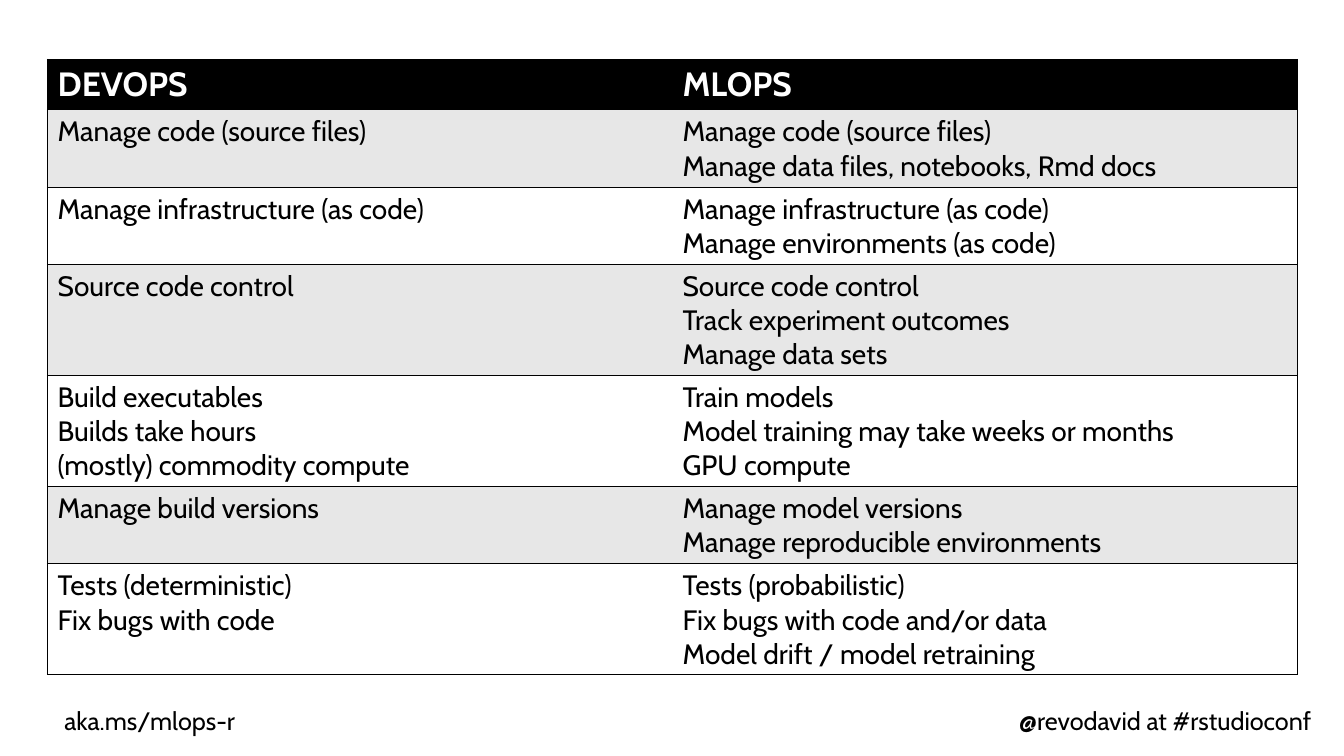
from lxml import etree
from pptx import Presentation
from pptx.dml.color import RGBColor
from pptx.enum.text import MSO_ANCHOR, PP_ALIGN
from pptx.oxml.ns import qn
from pptx.util import Pt

LEFT, RIGHT = PP_ALIGN.LEFT, PP_ALIGN.RIGHT
TOP = MSO_ANCHOR.TOP

BLACK = RGBColor(0x00, 0x00, 0x00)
WHITE = RGBColor(0xFF, 0xFF, 0xFF)
GREY = RGBColor(0xE7, 0xE7, 0xE7)

HEADINGS = ["DEVOPS", "MLOPS"]
PRACTICES = [
    (["Manage code (source files)"],
     ["Manage code (source files)", "Manage data files, notebooks, Rmd docs"]),
    (["Manage infrastructure (as code)"],
     ["Manage infrastructure (as code)", "Manage environments (as code)"]),
    (["Source code control"],
     ["Source code control", "Track experiment outcomes", "Manage data sets"]),
    (["Build executables", "Builds take hours", "(mostly) commodity compute"],
     ["Train models", "Model training may take weeks or months", "GPU compute"]),
    (["Manage build versions"],
     ["Manage model versions", "Manage reproducible environments"]),
    (["Tests (deterministic)", "Fix bugs with code"],
     ["Tests (probabilistic)",
      "Fix bugs with code and/or data\vModel drift / model retraining"]),
]


def write(frame, text, size=20, color=BLACK, bold=False, align=LEFT, font="Cabin"):
    frame.text = text
    for paragraph in frame.paragraphs:
        paragraph.alignment = align
        for run in paragraph.runs:
            run.font.name = font
            run.font.size = Pt(size)
            run.font.bold = bold
            run.font.color.rgb = color


def set_borders(cell, visible, color=BLACK, width=1):
    properties = cell._tc.get_or_add_tcPr()
    for index, side in enumerate("LRTB"):
        border = etree.Element(qn(f"a:ln{side}"), w=str(Pt(width)))
        if side in visible:
            fill = etree.SubElement(border, qn("a:solidFill"))
            etree.SubElement(fill, qn("a:srgbClr"), val=str(color))
        else:
            etree.SubElement(border, qn("a:noFill"))
        properties.insert(index, border)


class ComparisonSlide:
    header_height = 35.7
    line_height = 24
    cell_padding = 7.2

    def __init__(self, presentation):
        self.slide = presentation.slides.add_slide(presentation.slide_layouts[6])

    def footer(self, text, left, align=LEFT):
        box = self.slide.shapes.add_textbox(Pt(left), Pt(504), Pt(327.6), Pt(21.6))
        frame = box.text_frame
        frame.word_wrap = True
        frame.vertical_anchor = TOP
        frame.margin_left = frame.margin_right = 0
        frame.margin_top = frame.margin_bottom = 0
        write(frame, text, size=18, align=align)

    def cell(self, cell, text, fill, visible, **text_format):
        cell.fill.solid()
        cell.fill.fore_color.rgb = fill
        write(cell.text_frame, text, **text_format)
        set_borders(cell, visible)

    def comparison(self, headings, practices, left, top, width):
        line_counts = [
            max(len("\n".join(side).splitlines()) for side in practice)
            for practice in practices
        ]
        heights = [self.header_height] + [
            self.cell_padding + self.line_height * count for count in line_counts
        ]
        table = self.slide.shapes.add_table(
            len(heights), len(headings),
            Pt(left), Pt(top), Pt(width), Pt(sum(heights)),
        ).table
        for column in table.columns:
            column.width = Pt(width / len(headings))
        for row, height in zip(table.rows, heights):
            row.height = Pt(height)
        for col, (heading, visible) in enumerate(zip(headings, ["LTB", "RTB"])):
            self.cell(table.cell(0, col), heading, BLACK, visible,
                      size=24, color=WHITE, bold=True)
            for row, practice in enumerate(practices, start=1):
                self.cell(table.cell(row, col), "\n".join(practice[col]),
                          GREY if row % 2 else WHITE, visible)


def main():
    presentation = Presentation()
    presentation.slide_width = Pt(960)
    presentation.slide_height = Pt(540)
    slide = ComparisonSlide(presentation)
    slide.footer("aka.ms/mlops-r", left=46)
    slide.footer("@revodavid at #rstudioconf", left=609, align=RIGHT)
    slide.comparison(HEADINGS, PRACTICES, left=34, top=42.4, width=892.8)
    presentation.save("out.pptx")


if __name__ == "__main__":
    main()
